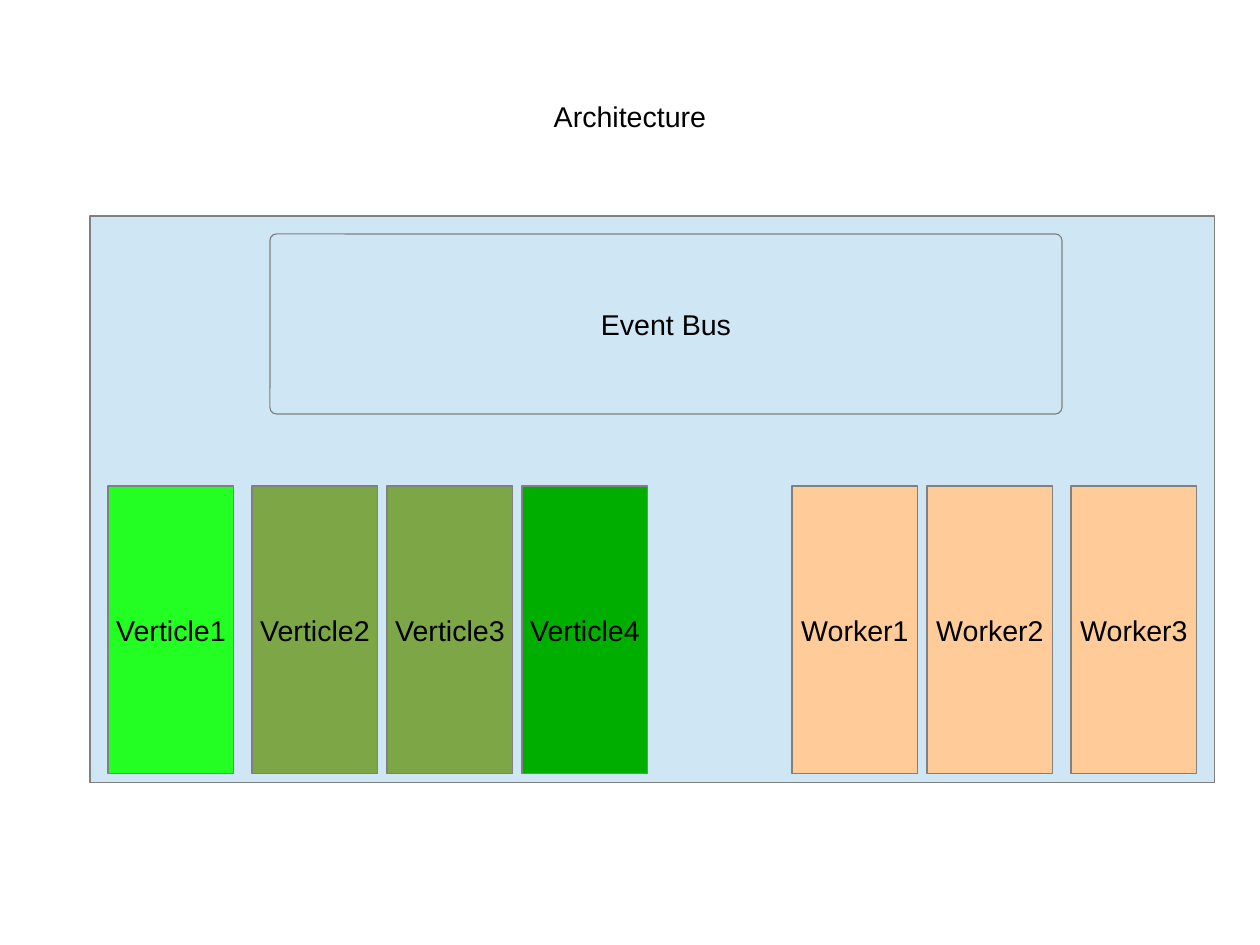
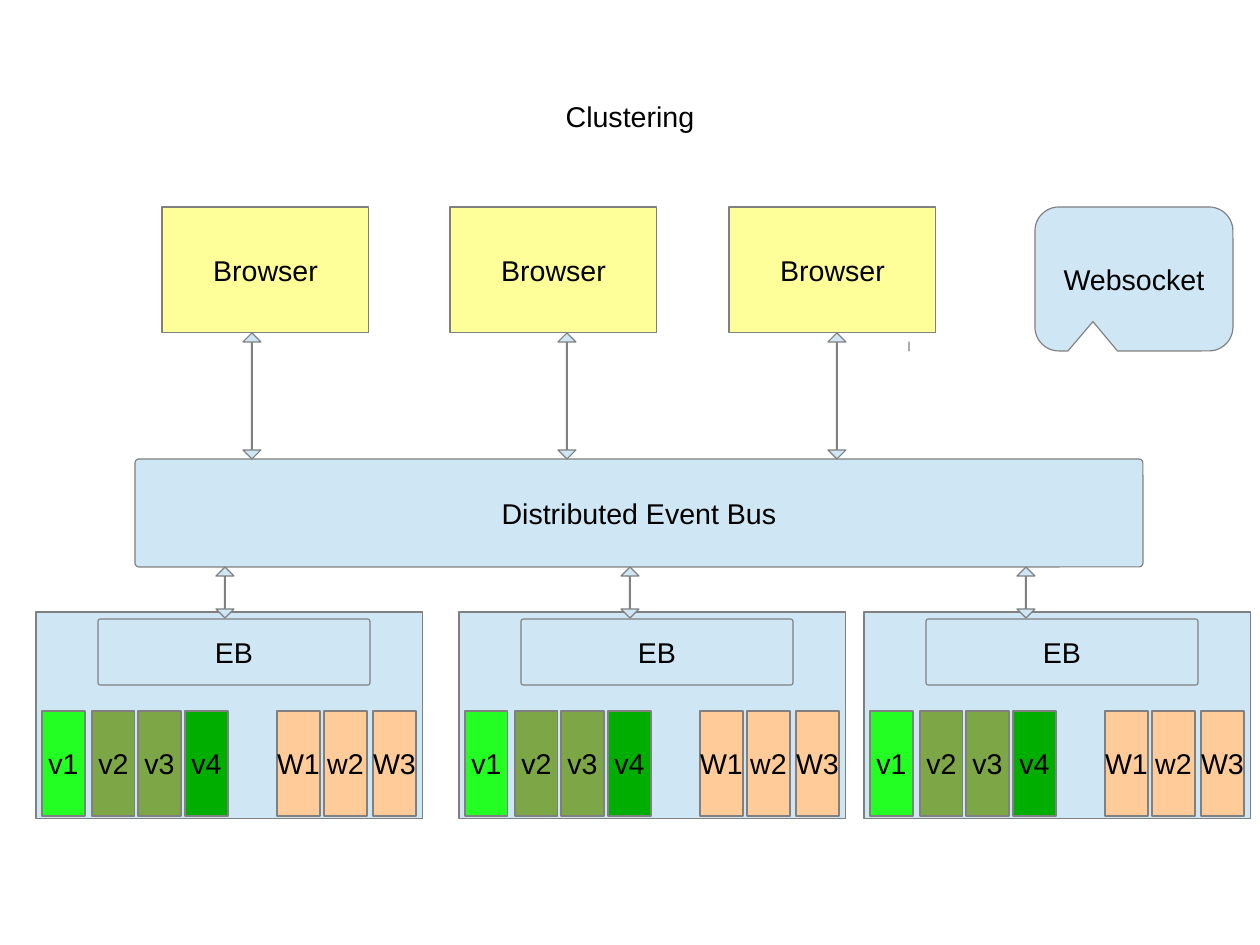
from pptx import Presentation
from pptx.dml.color import RGBColor
from pptx.enum.shapes import MSO_SHAPE as Kind
from pptx.enum.text import MSO_ANCHOR as Anchor, PP_ALIGN as Align
from pptx.util import Pt

PX = 8000  # EMU in one px
WIDE, HIGH = 1260, 945
FONT, SIZE = "Arial", 18
INK, LINE = "000000", "808080"
BLUE, YELLOW, PEACH = "CFE7F5", "FFFF99", "FFCC99"
LIME, OLIVE, GREEN = "23FF23", "7DA647", "00AE00"
ROUND = [0.036]

# Parts of a node, measured in a node of full size
NODE = (1125, 567)
BUS = (180, 18, 792, 180)
TILE_TOP, TILE_WIDE, TILE_HIGH = 270, 126, 288
TILES = [(18, LIME), (162, OLIVE), (297, OLIVE), (432, GREEN),
         (702, PEACH), (837, PEACH), (981, PEACH)]


def color(code):
    return RGBColor.from_string(code)


def emu(box):
    return [n * PX for n in box]


def write(shape, text):
    frame = shape.text_frame
    frame.word_wrap = False
    frame.vertical_anchor = Anchor.MIDDLE
    para = frame.paragraphs[0]
    para.text = text
    para.alignment = Align.CENTER
    para.font.name = FONT
    para.font.size = Pt(SIZE)
    para.font.color.rgb = color(INK)


def block(slide, box, fill=BLUE, text="", kind=Kind.RECTANGLE, adjust=()):
    shape = slide.shapes.add_shape(kind, *emu(box))
    shape.shadow.inherit = False
    for i, value in enumerate(adjust):
        shape.adjustments[i] = value
    shape.fill.solid()
    shape.fill.fore_color.rgb = color(fill)
    shape.line.color.rgb = color(LINE)
    shape.line.width = Pt(0.75)
    if text:
        write(shape, text)


def bus(slide, box, text=""):
    block(slide, box, text=text, kind=Kind.ROUNDED_RECTANGLE, adjust=ROUND)


def arrow(slide, left, top, high):
    block(slide, (left, top, 18, high), kind=Kind.UP_DOWN_ARROW,
          adjust=[0.054, 0.043])


def node(slide, box, title, names):
    """Draws an event bus above its tiles, scaled to fill the box."""
    left, top, wide, high = box
    across, down = wide / NODE[0], high / NODE[1]

    def fit(x, y, w, h):
        return (left + round(x * across), top + round(y * down),
                round(w * across), round(h * down))

    block(slide, box)
    bus(slide, fit(*BUS), title)
    for (x, fill), name in zip(TILES, names):
        block(slide, fit(x, TILE_TOP, TILE_WIDE, TILE_HIGH), fill, name)


def page(deck, title):
    slide = deck.slides.add_slide(deck.slide_layouts[6])
    label = slide.shapes.add_textbox(*emu((63, 38, 1134, 157)))
    frame = label.text_frame
    frame.margin_left = frame.margin_right = 0
    frame.margin_top = frame.margin_bottom = 0
    write(label, title)
    return slide


def design(deck):
    slide = page(deck, "Architecture")
    names = ["Verticle1", "Verticle2", "Verticle3", "Verticle4",
             "Worker1", "Worker2", "Worker3"]
    node(slide, (90, 216, *NODE), "Event Bus", names)


def cluster(deck):
    slide = page(deck, "Clustering")
    names = ["v1", "v2", "v3", "v4", "W1", "w2", "W3"]
    for left in (36, 459, 864):
        node(slide, (left, 612, 387, 207), "EB", names)
    bus(slide, (135, 459, 1008, 108), "Distributed Event Bus")
    bus(slide, (909, 342, 0, 9))
    for left in (216, 621, 1017):
        arrow(slide, left, 567, 51)
    for left in (162, 450, 729):
        block(slide, (left, 207, 207, 126), YELLOW, "Browser")
    for left in (243, 558, 828):
        arrow(slide, left, 333, 126)
    block(slide, (1035, 207, 198, 144), text="Websocket",
          kind=Kind.ROUNDED_RECTANGULAR_CALLOUT, adjust=[-0.207, 0.296])


def main():
    deck = Presentation()
    deck.slide_width, deck.slide_height = emu((WIDE, HIGH))
    design(deck)
    cluster(deck)
    deck.save("out.pptx")


if __name__ == "__main__":
    main()
